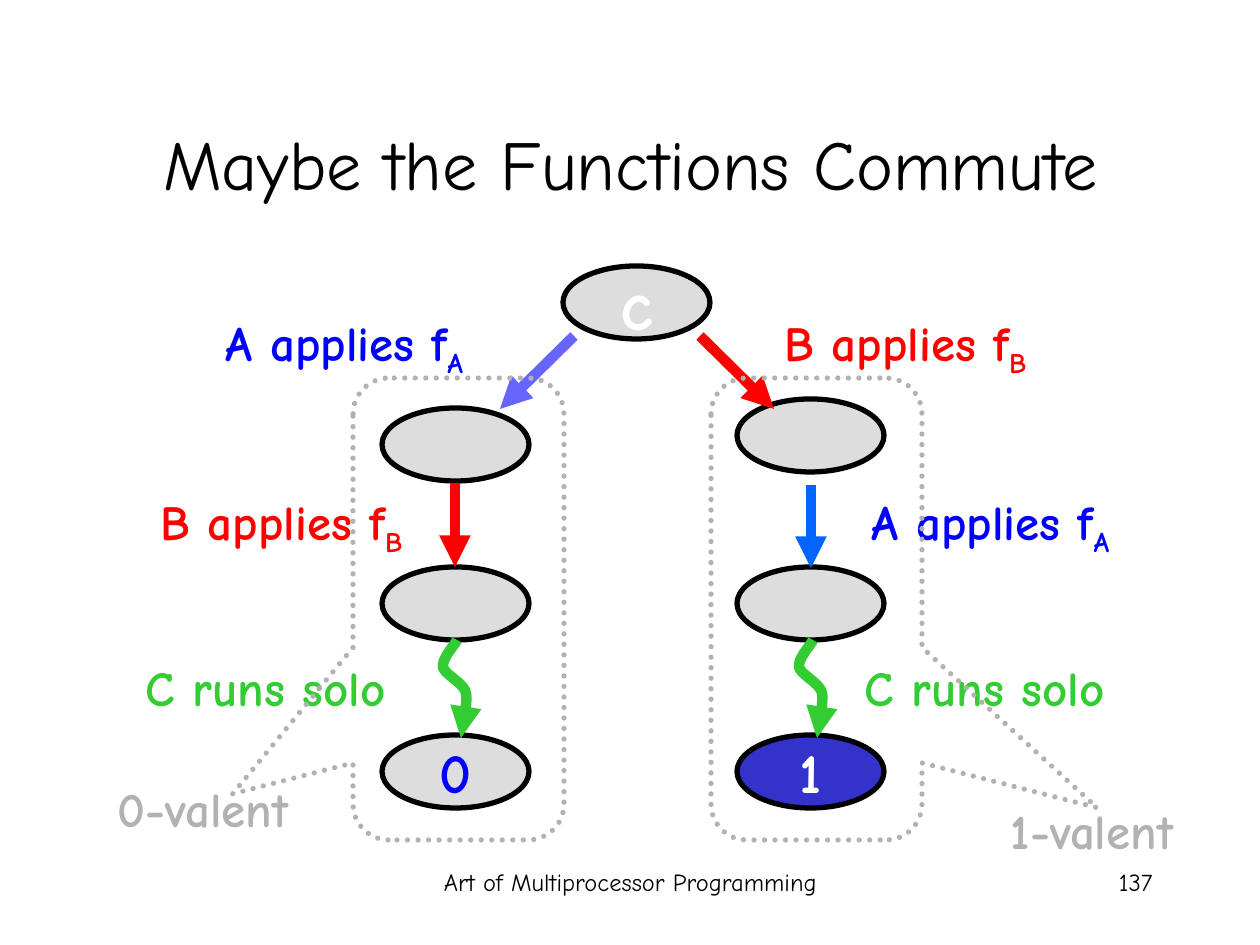
from lxml import etree
from pptx import Presentation
from pptx.dml.color import RGBColor
from pptx.enum.dml import MSO_LINE
from pptx.enum.shapes import MSO_CONNECTOR, MSO_SHAPE
from pptx.enum.text import MSO_ANCHOR, PP_ALIGN
from pptx.oxml.ns import qn
from pptx.util import Emu, Pt

CENTER, RIGHT = PP_ALIGN.CENTER, PP_ALIGN.RIGHT
TOP, MIDDLE = MSO_ANCHOR.TOP, MSO_ANCHOR.MIDDLE
OVAL, CALLOUT = MSO_SHAPE.OVAL, MSO_SHAPE.ROUNDED_RECTANGULAR_CALLOUT

PX = 914400 / 126
FONT = "Comic Neue"
BLACK, WHITE, GREY, SILVER = "000000", "FFFFFF", "DDDDDD", "B2B2B2"
BLUE, RED, GREEN, INDIGO = "0000FF", "FF0000", "33CC33", "3333CC"

# Content: state nodes (left, top, fill, label, label size, label colour)
NODE_W, NODE_H = 147, 73
LEFT_X, RIGHT_X = 382, 737
NODES = [
    (563, 266, GREY, "c", 40, WHITE),
    (LEFT_X, 408, GREY, "", 32, BLUE),
    (RIGHT_X, 399, GREY, "", 32, WHITE),
    (LEFT_X, 567, GREY, "", 32, BLUE),
    (RIGHT_X, 567, GREY, "", 32, WHITE),
    (LEFT_X, 735, GREY, "0", 32, BLUE),
    (RIGHT_X, 735, INDIGO, "1", 32, WHITE),
]
# Straight steps (x1, y1, x2, y2, colour)
ARROWS = [
    (574, 336, 500, 409, "6666FF"),
    (700, 336, 774, 409, RED),
    (455, 483, 455, 567, RED),
    (811, 485, 811, 568, "0066FF"),
]
# Solo runs: cubic curves, three points each, measured from the start
SOLO_STARTS = [(457, 640), (813, 640)]
SOLO_CURVES = [
    ((-2, 5), (-15, 18), (-14, 27)),
    ((-12, 35), (7, 43), (9, 53)),
    ((11, 63), (5, 89), (4, 98)),
]
# Step labels (left, top, width, height, text, subscript, colour)
LABELS = [
    (158, 306, 373, 79, "A applies f", "A", BLUE),
    (719, 306, 373, 79, "B applies f", "B", RED),
    (804, 485, 373, 79, "A applies f", "A", BLUE),
    (95, 485, 373, 79, "B applies f", "B", RED),
    (79, 651, 373, 72, "C runs solo", "", GREEN),
    (798, 651, 373, 72, "C runs solo", "", GREEN),
    (55, 772, 296, 72, "0-valent", "", SILVER),
    (944, 794, 296, 72, "1-valent", "", SILVER),
]
# Valence callouts (left, top, width, height, tip and corner adjustments)
CALLOUTS = [
    (353, 378, 211, 462, (-1.07, 0.4, 0.17)),
    (711, 378, 211, 462, (1.33, 0.43, 0.17)),
]
# Title and footer (left, top, width, height, text, size, alignment, anchor)
FRAME_TEXTS = [
    (95, 84, 1071, 158, "Maybe the Functions Commute", 40, CENTER, MIDDLE),
    (431, 861, 399, 63, "Art of Multiprocessor Programming", 14, CENTER, TOP),
    (903, 861, 262, 63, "137", 14, RIGHT, TOP),
]


def px(*lengths):
    return [Emu(round(length * PX)) for length in lengths]


def rgb(value):
    return RGBColor.from_string(value)


def write(shape, text, size, color, bold=False, align=CENTER, anchor=TOP,
          wrap=True, subscript=""):
    frame = shape.text_frame
    frame.word_wrap, frame.vertical_anchor = wrap, anchor
    paragraph = frame.paragraphs[0]
    paragraph.alignment = align
    font_values = {"name": FONT, "size": Pt(size), "bold": bold}
    for part in filter(None, (text, subscript)):
        run = paragraph.add_run()
        run.text = part
        for key, value in font_values.items():
            setattr(run.font, key, value)
        run.font.color.rgb = rgb(color)
    if subscript:
        run._r.get_or_add_rPr().set("baseline", "-25000")


def set_line(shape, color, width):
    shape.line.color.rgb = rgb(color)
    shape.line.width = Pt(width)
    return shape.line._get_or_add_ln()


def add_arrowhead(shape, color):
    line = set_line(shape, color, 6)
    etree.SubElement(line, qn("a:tailEnd"), type="triangle")


def bezier(p0, p1, p2, p3, t):
    s = 1 - t
    return tuple(s**3 * a + 3 * s * s * t * b + 3 * s * t * t * c + t**3 * d
                 for a, b, c, d in zip(p0, p1, p2, p3))


def solo_points(steps=10):
    start, points = (0, 0), []
    for curve in SOLO_CURVES:
        points += [bezier(start, *curve, i / steps) for i in range(1, steps + 1)]
        start = curve[-1]
    return points


def main():
    deck = Presentation()
    deck.slide_width, deck.slide_height = px(1260, 945)
    shapes = deck.slides.add_slide(deck.slide_layouts[6]).shapes

    # State nodes
    for left, top, fill, label, size, color in NODES:
        node = shapes.add_shape(OVAL, *px(left, top, NODE_W, NODE_H))
        node.shadow.inherit = False
        node.fill.solid()
        node.fill.fore_color.rgb = rgb(fill)
        set_line(node, BLACK, 3)
        if label:
            write(node, label, size, color, True, anchor=MIDDLE, wrap=False)

    # Straight steps
    for *ends, color in ARROWS:
        arrow = shapes.add_connector(MSO_CONNECTOR.STRAIGHT, *px(*ends))
        add_arrowhead(arrow, color)
        etree.SubElement(arrow._element.spPr, qn("a:effectLst"))

    # Solo runs
    for x, y in SOLO_STARTS:
        builder = shapes.build_freeform(*px(x, y))
        builder.add_line_segments(
            [px(x + dx, y + dy) for dx, dy in solo_points()], close=False)
        solo = builder.convert_to_shape()
        solo.shadow.inherit = False
        solo.fill.background()
        add_arrowhead(solo, GREEN)

    # Step labels
    for *box, text, subscript, color in LABELS:
        write(shapes.add_textbox(*px(*box)), text, 28, color, True,
              subscript=subscript)

    # Valence callouts
    for *box, adjustments in CALLOUTS:
        callout = shapes.add_shape(CALLOUT, *px(*box))
        for i, value in enumerate(adjustments):
            callout.adjustments[i] = value
        callout.shadow.inherit = False
        callout.fill.background()
        set_line(callout, SILVER, 3).set("cap", "rnd")
        callout.line.dash_style = MSO_LINE.ROUND_DOT

    # Title and footer
    for *box, text, size, align, anchor in FRAME_TEXTS:
        write(shapes.add_textbox(*px(*box)), text, size, BLACK,
              align=align, anchor=anchor)

    deck.save("out.pptx")


if __name__ == "__main__":
    main()
